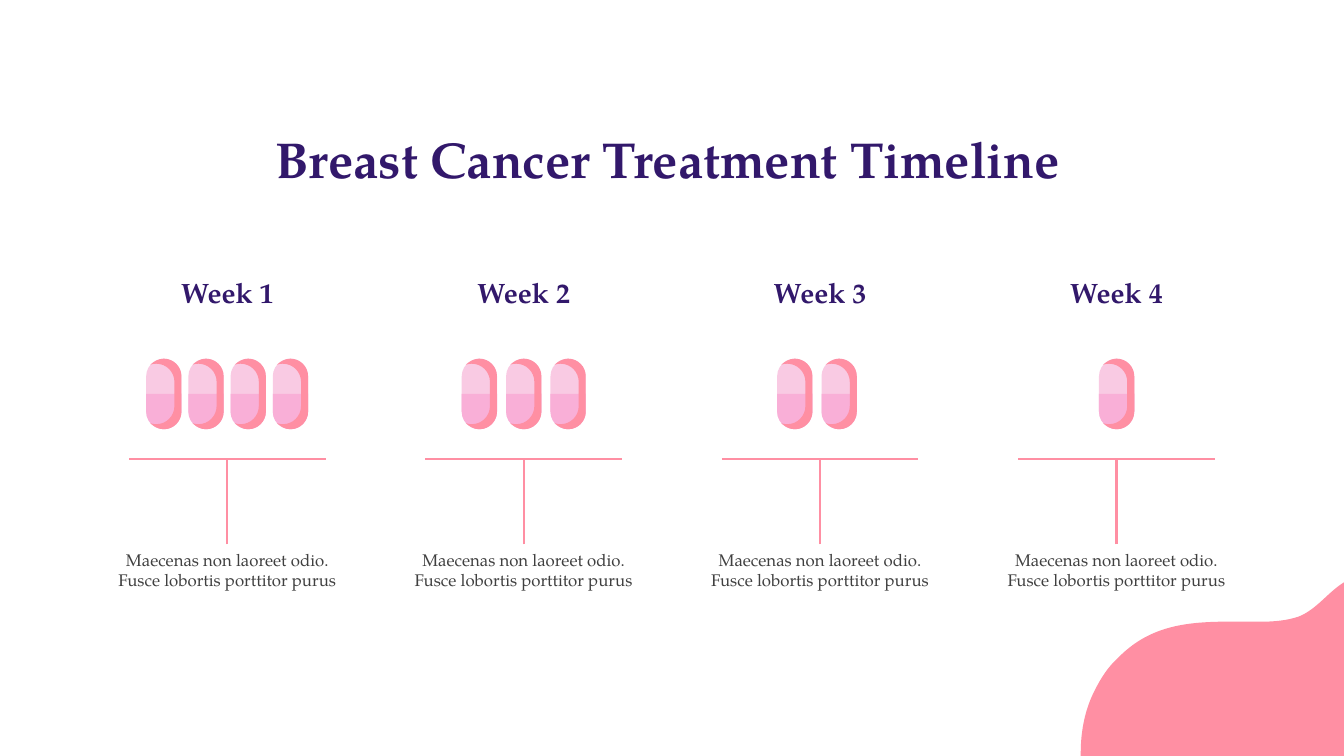
from pptx import Presentation
from pptx.dml.color import RGBColor
from pptx.enum.shapes import MSO_CONNECTOR as CXN, MSO_SHAPE as SHAPE
from pptx.enum.text import MSO_ANCHOR as ANCHOR, MSO_AUTO_SIZE as FIT, PP_ALIGN as ALIGN
from pptx.oxml.ns import qn
from pptx.util import Pt

FONT = "TeX Gyre Pagella"
COLORS = {"bg": "FFFFFF", "heading": "32186B", "body": "404040",
          "coral": "FF8FA3", "pill_light": "F9CAE3", "pill_dark": "F9AFD7"}

TITLE = "Breast Cancer Treatment Timeline"
DETAIL = "Maecenas non laoreet odio. Fusce lobortis porttitor purus"
# label, number of pills, first pill from the column's left, distance between pills
WEEKS = [("Week 1", 4, 12.2, 30.15), ("Week 2", 3, 25.9, 31.7),
         ("Week 3", 2, 39.5, 31.7), ("Week 4", 1, 57.7, 0)]
COL_W, COL_STEP = 140.4, 211.7
PILL_W, PILL_H = 25.2, 50.4

# Outlines: a pair is a line's end, six numbers are a Bezier curve
PILL_SHADE = [(20.2, 25.2), (20.2, 33.8),
              (20.2, 41, 14.4, 46.8, 7.2, 46.8), (5.8, 46.8, 4.3, 46.6, 3, 46.1),
              (5.8, 48.6, 9, 50.4, 12.6, 50.4), (19.6, 50.4, 25.2, 44.7, 25.2, 37.8),
              (25.2, 25.2)]
BLOB = [(188, 0), (188, 124), (0, 124), (0, 121.7),
        (0, 106.6, 2.9, 90.7, 10.1, 77), (14.4, 68.4, 19.4, 60.5, 26.6, 54),
        (54.7, 25.2, 88.6, 28.1, 128.2, 28.1), (137.5, 28.1, 146.9, 27.4, 155.5, 24.5),
        (168.5, 19.4, 176.4, 7.2, 188, 0)]


def rgb(name):
    return RGBColor.from_string(COLORS[name])


def paint(sp, color):
    sp.shadow.inherit = False
    sp.fill.solid()
    sp.fill.fore_color.rgb = rgb(color)
    sp.line.fill.background()


def add_outline(shapes, outline, x, y, color, mirror_h=None):
    points = [(Pt(x + px), Pt(y + (py if mirror_h is None else mirror_h - py)))
              for seg in outline for px, py in zip(seg[::2], seg[1::2])]
    builder = shapes.build_freeform(*points[0])
    builder.add_line_segments(points[1:], close=True)
    sp = builder.convert_to_shape()
    # Join each curve's three points into one Bezier segment
    lines = iter(list(sp._element.iter(qn("a:lnTo"))))
    for seg in outline[1:]:
        line = next(lines)
        if len(seg) == 6:
            line.addprevious(curve := line.makeelement(qn("a:cubicBezTo"), {}))
            for part in (line, next(lines), next(lines)):
                curve.append(part[0])
                part.getparent().remove(part)
    paint(sp, color)


def set_text(sp, text, size, color, bold=False):
    tf = sp.text_frame
    tf.text = text
    tf.word_wrap = True
    tf.auto_size = FIT.NONE
    tf.vertical_anchor = ANCHOR.TOP
    p = tf.paragraphs[0]
    p.alignment = ALIGN.CENTER
    font = p.runs[0].font
    font.name, font.size, font.bold = FONT, Pt(size), bold
    font.color.rgb = rgb(color)


def add_text(slide, x, y, w, h, *style):
    sp = slide.shapes.add_textbox(Pt(x), Pt(y), Pt(w), Pt(h))
    set_text(sp, *style)
    return sp


def add_line(slide, x1, y1, x2, y2):
    line = slide.shapes.add_connector(CXN.STRAIGHT, Pt(x1), Pt(y1), Pt(x2), Pt(y2))
    line.line.color.rgb = rgb("coral")
    line.line.width = Pt(1.5)
    props = line._element.spPr
    props.append(props.makeelement(qn("a:effectLst"), {}))
    return line


def add_title(slide, x, y, w, h):
    sp = slide.shapes.title
    sp.left, sp.top, sp.width, sp.height = Pt(x), Pt(y), Pt(w), Pt(h)
    set_text(sp, TITLE, 36, "heading", True)


def add_pill(shapes, x, y):
    # Light capsule
    body = shapes.add_shape(SHAPE.ROUNDED_RECTANGLE, Pt(x), Pt(y), Pt(PILL_W), Pt(PILL_H))
    body.adjustments[0] = 0.5
    paint(body, "pill_light")
    # Darker lower half
    half = shapes.add_shape(SHAPE.ROUND_2_SAME_RECTANGLE, Pt(x), Pt(y + PILL_H / 2),
                            Pt(PILL_W), Pt(PILL_H / 2))
    half.adjustments[0], half.adjustments[1] = 0, 0.5
    paint(half, "pill_dark")
    # Shade along the right edge, below and above
    for mirror_h in (None, PILL_H):
        add_outline(shapes, PILL_SHADE, x, y, "coral", mirror_h)


def add_week(slide, x, y, w, label, count, first, step):
    heading = add_text(slide, x, y, w, 38.2, label, 20, "heading", True)
    tf = heading.text_frame
    tf.margin_top = tf.margin_bottom = Pt(7.2)
    # Pills
    pills = slide.shapes.add_group_shape().shapes
    for i in range(count):
        add_pill(pills, x + first + i * step, y + 66.6)
    # Detail text hanging from the rule
    detail_w = 178.6
    detail = add_text(slide, x + (w - detail_w) / 2, y + 199.2, detail_w, 51.1,
                      DETAIL, 12, "body")
    rule_y, mid = y + 138.2, x + w / 2
    add_line(slide, x, rule_y, x + w, rule_y)
    stem = add_line(slide, mid, y + 199.2, mid, rule_y)
    stem.begin_connect(detail, 0)


def main():
    prs = Presentation()
    prs.slide_width, prs.slide_height = Pt(960), Pt(540)
    slide = prs.slides.add_slide(prs.slide_layouts[5])
    slide.background.fill.solid()
    slide.background.fill.fore_color.rgb = rgb("bg")

    add_title(slide, 0, 87.8, 953.6, 51.1)
    add_outline(slide.shapes, BLOB, 772, 416, "coral")
    for i, week in enumerate(WEEKS):
        add_week(slide, 92.2 + i * COL_STEP, 189.6, COL_W, *week)
    prs.save("out.pptx")


if __name__ == "__main__":
    main()
